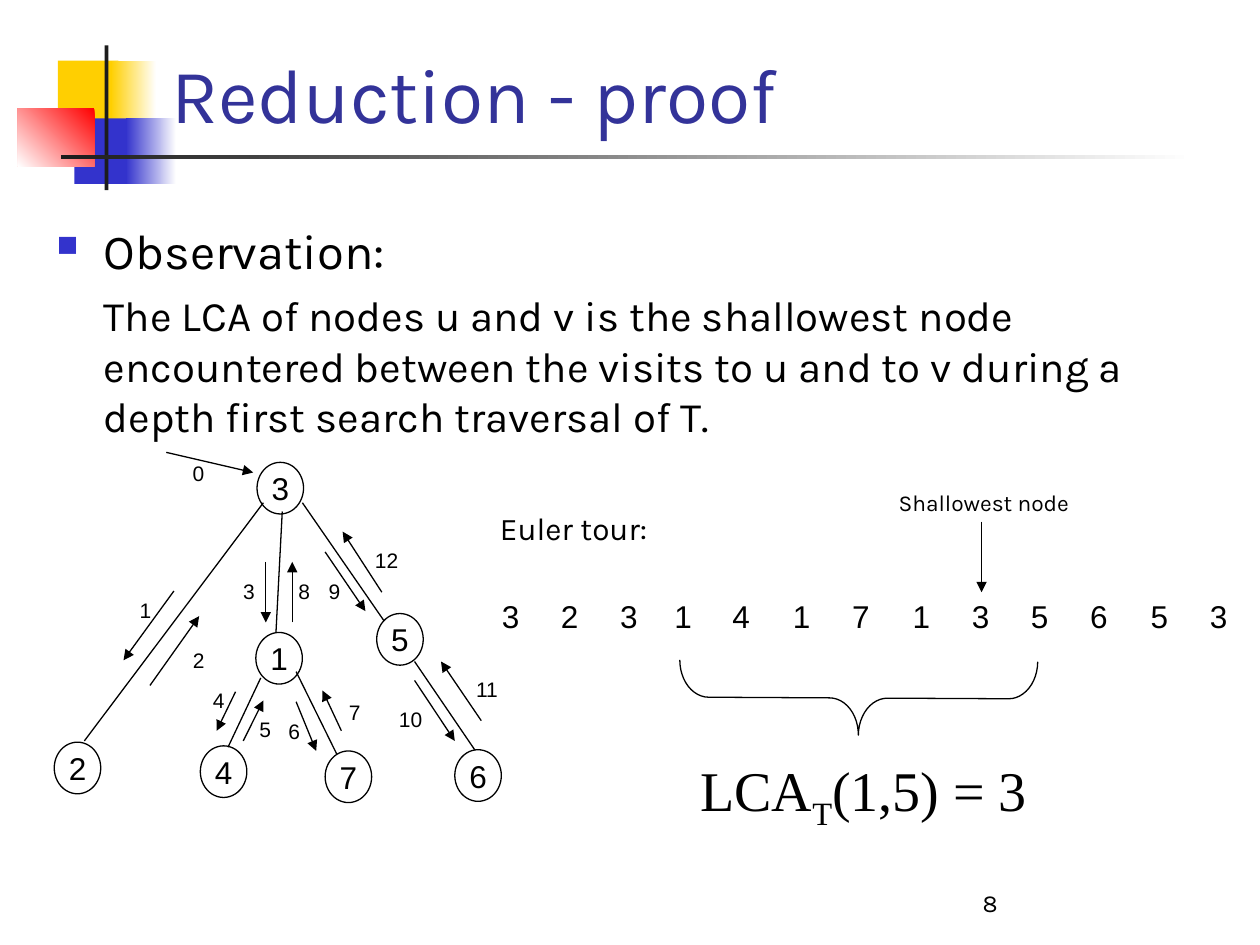
import pptx
import pptx.dml.color
import pptx.enum.shapes
import pptx.enum.text
import pptx.oxml
import pptx.oxml.ns
import pptx.util

Pt = pptx.util.Pt
RGBColor = pptx.dml.color.RGBColor
SHAPES = pptx.enum.shapes.MSO_SHAPE
ALIGN = pptx.enum.text.PP_ALIGN
ANCHOR = pptx.enum.text.MSO_ANCHOR
qn = pptx.oxml.ns.qn

BLACK = RGBColor(0x00, 0x00, 0x00)
WHITE = RGBColor(0xFF, 0xFF, 0xFF)
YELLOW = RGBColor(0xFF, 0xCF, 0x01)
BLUE = RGBColor(0x33, 0x33, 0xCC)
RED = RGBColor(0xFF, 0x00, 0x00)
CHARCOAL = RGBColor(0x1C, 0x1C, 0x1C)
TITLE_BLUE = RGBColor(0x33, 0x33, 0x99)


def write(shape, text, size=18, color=BLACK, font="Karla", align=ALIGN.LEFT,
          anchor=ANCHOR.TOP, wrap=True, rtl=False, baseline=None, before=0):
    """Add a run to the last paragraph of a shape."""
    frame = shape.text_frame
    frame.word_wrap = wrap
    frame.vertical_anchor = anchor
    paragraph = frame.paragraphs[-1]
    paragraph.alignment = align
    paragraph.space_before = Pt(before)
    run = paragraph.add_run()
    run.text = text
    run.font.size = Pt(size)
    run.font.name = font
    run.font.color.rgb = color
    properties = run.font._element
    if rtl:
        # Digits in right-to-left paragraphs take the complex-script font
        paragraph._p.get_or_add_pPr().set("rtl", "1")
        properties.append(properties.makeelement(qn("a:cs"), {"typeface": "Arial"}))
    if baseline:
        properties.set("baseline", str(baseline))


def add_line(start, end, arrow=False):
    """Draw a thin black line, with an optional arrowhead at its end."""
    line = slide.shapes.add_connector(
        pptx.enum.shapes.MSO_CONNECTOR.STRAIGHT,
        Pt(start[0]), Pt(start[1]), Pt(end[0]), Pt(end[1]))
    line.line.color.rgb = BLACK
    line.line.width = Pt(0.75)
    if arrow:
        outline = line.line._get_or_add_ln()
        outline.append(outline.makeelement(qn("a:tailEnd"), {"type": "triangle"}))
    properties = line._element.spPr
    properties.append(properties.makeelement(qn("a:effectLst"), {}))


presentation = pptx.Presentation()
presentation.slide_width = Pt(720)
presentation.slide_height = Pt(540)
slide = presentation.slides.add_slide(presentation.slide_layouts[5])

# Title
title = slide.shapes.title
title.left, title.top, title.width, title.height = Pt(90.7), Pt(16.6), Pt(613.4), Pt(66.2)
write(title, "Reduction - proof", size=44, color=TITLE_BLUE, anchor=ANCHOR.BOTTOM)
title.text_frame.auto_size = pptx.enum.text.MSO_AUTO_SIZE.NONE

# Corner ornament: box, gradient start and end, gradient angle
ornaments = [
    ((33.1, 34.6, 34.6, 37.4), YELLOW, None, None),
    ((63.4, 34.6, 25.9, 37.4), WHITE, YELLOW, 180),
    ((42.5, 67.7, 33.1, 37.4), BLUE, None, None),
    ((72, 67.7, 28.8, 37.4), WHITE, BLUE, 180),
    ((10.1, 61.9, 43.9, 33.1), RED, WHITE, 225),
    ((59.8, 25.9, 2.2, 82.8), CHARCOAL, None, None),
    ((34.6, 88.6, 648, 2.2), WHITE, CHARCOAL, 180),
]
for box, first, last, angle in ornaments:
    shape = slide.shapes.add_shape(SHAPES.RECTANGLE, *map(Pt, box))
    shape.shadow.inherit = False
    shape.line.fill.background()
    if last is None:
        shape.fill.solid()
        shape.fill.fore_color.rgb = first
    else:
        shape.fill.gradient()
        shape.fill.gradient_angle = angle
        for stop, color in zip(shape.fill.gradient_stops, (first, last)):
            stop.color.rgb = color
# The title stands in front of the ornament
slide.shapes._spTree.append(title._element)

# Observation
body = slide.shapes.add_textbox(Pt(25.2), Pt(122.4), Pt(668.9), Pt(136.1))
write(body, "Observation:", size=28, before=7)
body.text_frame.add_paragraph()
write(body, "The LCA of nodes u and v is the shallowest node encountered between "
            "the visits to u and to v during a depth first search traversal of T.",
      size=24, before=6)
for paragraph, indent in zip(body.text_frame.paragraphs, (-27, 0)):
    properties = paragraph._p.get_or_add_pPr()
    properties.set("marL", str(Pt(27)))
    properties.set("indent", str(Pt(indent)))
bullet = body.text_frame.paragraphs[0]._p.get_or_add_pPr()
color = bullet.makeelement(qn("a:buClr"), {})
color.append(color.makeelement(qn("a:srgbClr"), {"val": str(BLUE)}))
bullet.append(color)
bullet.append(bullet.makeelement(qn("a:buSzPct"), {"val": "60000"}))
bullet.append(bullet.makeelement(qn("a:buChar"), {"char": "■"}))

# Tree edges
edges = [
    ((161.3, 292.3), (157.7, 361.4)),
    ((150.5, 287.3), (48.2, 423.4)),
    ((172.8, 287.3), (219.6, 355)),
    ((236.9, 378), (272.2, 429.8)),
    ((149, 387.4), (130.3, 427)),
    ((169.2, 383.8), (195.1, 436.3)),
]
for start, end in edges:
    add_line(start, end)

# Tree nodes: label, left, top, filled
nodes = [
    ("3", 146.9, 264.2, False), ("4", 114.5, 426.2, False),
    ("5", 215.3, 350.6, True), ("1", 146.2, 361.4, False),
    ("6", 259.9, 428.4, True), ("7", 185.8, 429.1, True),
    ("2", 31, 424.1, True),
]
for label, left, top, filled in nodes:
    node = slide.shapes.add_shape(SHAPES.OVAL, Pt(left), Pt(top), Pt(26.6), Pt(29.5))
    node.shadow.inherit = False
    node.line.color.rgb = BLACK
    node.line.width = Pt(0.75)
    if filled:
        node.fill.solid()
        node.fill.fore_color.rgb = WHITE
    else:
        node.fill.background()
    write(node, label, align=ALIGN.CENTER, anchor=ANCHOR.MIDDLE, wrap=False, rtl=True)

# Traversal steps in order: arrow start, arrow end, label corner
steps = [
    ((95, 258.5), (144.7, 270), (106.5, 259.9)),
    ((99.4, 337.7), (70.6, 377.3), (76.3, 337.7)),
    ((85.7, 391.7), (113.8, 352.1), (106.6, 366.5)),
    ((151.9, 321.1), (151.9, 355.7), (135.4, 326.9)),
    ((134.6, 395.3), (123.8, 417.6), (118.1, 389.5)),
    ((139, 423.4), (150.5, 400.3), (144.7, 406.1)),
    ((169.2, 401), (180.7, 429.1), (161.3, 406.8)),
    ((195.1, 417.6), (184.3, 394.6), (195.8, 396)),
    ((167, 355.7), (167, 321.1), (167, 326.9)),
    ((185.8, 315.4), (208.8, 349.2), (184.3, 326.9)),
    ((236.9, 388.8), (259.9, 423.4), (220.3, 400.3)),
    ((275, 411.8), (252, 378), (263.5, 383)),
    ((218.2, 338.4), (195.8, 303.8), (206.6, 309.6)),
]
for number, (start, end, (left, top)) in enumerate(steps):
    add_line(start, end, arrow=True)
    width = 17.3 if number < 10 else 28.1
    label = slide.shapes.add_textbox(Pt(left), Pt(top), Pt(width), Pt(21.6))
    write(label, str(number), size=12, align=ALIGN.RIGHT, rtl=True)

# Euler tour
heading = slide.shapes.add_textbox(Pt(278.6), Pt(287.3), Pt(103), Pt(28.8))
write(heading, "Euler tour:", wrap=False)
tour_lefts = [280.8, 314.6, 348.5, 379.4, 412.6, 447.1, 481,
              515.5, 549.4, 583.2, 617, 651.6, 685.4]
for digit, left in zip("3231417135653", tour_lefts):
    visit = slide.shapes.add_textbox(Pt(left), Pt(337.7), Pt(23), Pt(28.8))
    write(visit, digit, align=ALIGN.JUSTIFY, rtl=True)

# Brace under the visits from 1 to 5
brace = slide.shapes.add_shape(SHAPES.LEFT_BRACE, Pt(469.4), Pt(296.6), Pt(42.5), Pt(204.5))
brace.rotation = 270.3
brace.adjustments[0] = 0.39
brace.shadow.inherit = False
brace.fill.background()
brace.line.color.rgb = BLACK
brace.line.width = Pt(0.75)

# Result
result = slide.shapes.add_textbox(Pt(387.5), Pt(428.4), Pt(212), Pt(51.1))
for text, baseline in (("LCA", None), ("T", -25000), ("(1,5) = 3", None)):
    write(result, text, size=32, font="Times New Roman", align=ALIGN.CENTER,
          wrap=False, baseline=baseline)

# Shallowest node callout
add_line((560.9, 298.1), (560.9, 338.4), arrow=True)
callout = slide.shapes.add_textbox(Pt(504), Pt(275.8), Pt(113.8), Pt(23))
write(callout, "Shallowest node", size=13, align=ALIGN.RIGHT, wrap=False)

# Slide number
page = slide.shapes.add_textbox(Pt(554.4), Pt(491.8), Pt(149.8), Pt(36))
write(page, "8", size=14, anchor=ANCHOR.BOTTOM)

presentation.save("out.pptx")
